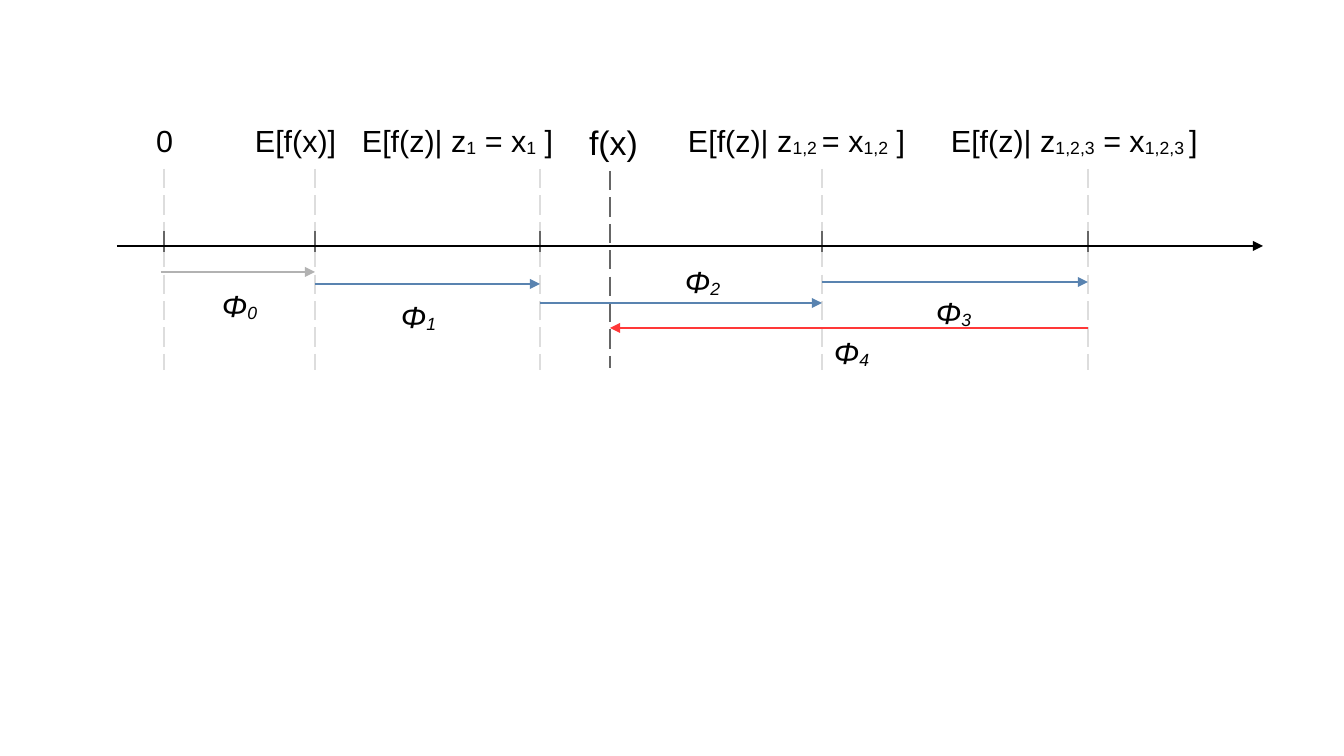
from lxml import etree
from pptx import Presentation
from pptx.dml.color import RGBColor
from pptx.enum.dml import MSO_LINE
from pptx.enum.shapes import MSO_CONNECTOR
from pptx.oxml.ns import qn
from pptx.util import Emu, Pt

PX = 914400 / 122
STRAIGHT = MSO_CONNECTOR.STRAIGHT
LONG_DASH = MSO_LINE.LONG_DASH

BLACK = RGBColor(0x00, 0x00, 0x00)
DARK_GRAY = RGBColor(0x66, 0x66, 0x66)
GRAY = RGBColor(0xB2, 0xB2, 0xB2)
LIGHT_GRAY = RGBColor(0xDD, 0xDD, 0xDD)
BLUE = RGBColor(0x59, 0x83, 0xB0)
RED = RGBColor(0xFF, 0x38, 0x38)

FONT = "Arial"
LABEL_HEIGHT = 46
PHI_WIDTH = 66
GUIDE_TOP, GUIDE_BOTTOM = 53, 254
AXIS_Y = 130
TICK_TOP, TICK_BOTTOM = 115, 136

# Places are measured from the top left corner of the number line's box.
ZERO, BASE, GIVEN_1, PREDICTION, GIVEN_12, GIVEN_123 = 47, 198, 423, 493, 705, 971
EXPECTATIONS = (ZERO, BASE, GIVEN_1, GIVEN_12, GIVEN_123)

# Left, width, size, then texts that alternate between normal and subscript.
VALUE_LABELS = (
    (27, 45, 18, ("0",)),
    (126, 110, 18, ("E[f(x)]",)),
    (233, 239, 18, ("E[f(z)| z", "1", " = x", "1", " ]")),
    (460, 84, 20, ("f(x)",)),
    (559, 289, 18, ("E[f(z)| z", "1,2 ", "= x", "1,2", " ]")),
    (822, 334, 18, ("E[f(z)| z", "1,2,3", " = x", "1,2,3 ", "]")),
)

# Start, end, height of the arrow, colour, left and top of its label.
PHI_STEPS = (
    (ZERO - 3, BASE, 156, GRAY, 93, 165),
    (BASE, GIVEN_1, 168, BLUE, 272, 176),
    (GIVEN_1, GIVEN_12, 187, BLUE, 556, 141),
    (GIVEN_12, GIVEN_123, 166, BLUE, 807, 172),
    (GIVEN_123, PREDICTION, 212, RED, 705, 212),
)


def px(length):
    return Emu(round(length * PX))


def add_line(slide, start, end, color, dash=None, arrow=False):
    connector = slide.shapes.add_connector(STRAIGHT, *map(px, start + end))
    connector.line.color.rgb = color
    connector.line.width = Pt(1.42)
    if dash:
        connector.line.dash_style = dash
    properties = connector._element.spPr
    if arrow:
        etree.SubElement(properties.find(qn("a:ln")), qn("a:tailEnd"), type="triangle")
    etree.SubElement(properties, qn("a:effectLst"))


def add_label(slide, left, top, width, size, texts, italic=False):
    """Write texts that alternate between normal and subscript."""
    box = slide.shapes.add_textbox(px(left), px(top), px(width), px(LABEL_HEIGHT))
    box.text_frame.word_wrap = True
    paragraph = box.text_frame.paragraphs[0]
    for index, text in enumerate(texts):
        run = paragraph.add_run()
        run.text = text
        run.font.name = FONT
        run.font.size = Pt(size)
        run.font.italic = italic
        run.font.color.rgb = BLACK
        if index % 2:
            run._r.get_or_add_rPr().set("baseline", "-8000")


def add_number_line(slide, left, top, width):
    def line(x1, y1, x2, y2, color, **style):
        add_line(slide, (left + x1, top + y1), (left + x2, top + y2), color, **style)

    for x in EXPECTATIONS:
        line(x, GUIDE_TOP, x, GUIDE_BOTTOM, LIGHT_GRAY, dash=LONG_DASH)
        line(x, TICK_BOTTOM, x, TICK_TOP, DARK_GRAY)
    line(PREDICTION, GUIDE_TOP + 2, PREDICTION, GUIDE_BOTTOM - 2, DARK_GRAY, dash=LONG_DASH)
    line(0, AXIS_Y, width, AXIS_Y, BLACK, arrow=True)

    for x, label_width, size, texts in VALUE_LABELS:
        add_label(slide, left + x, top, label_width, size, texts)

    for index, (start, end, y, color, label_x, label_y) in enumerate(PHI_STEPS):
        line(start, y, end, y, color, arrow=True)
        add_label(slide, left + label_x, top + label_y, PHI_WIDTH, 18,
                  ("Φ", str(index)), italic=True)


def main():
    presentation = Presentation()
    presentation.slide_width = px(1344)
    presentation.slide_height = px(756)
    slide = presentation.slides.add_slide(presentation.slide_layouts[6])
    add_number_line(slide, 117, 116, 1146)
    presentation.save("out.pptx")


if __name__ == "__main__":
    main()
